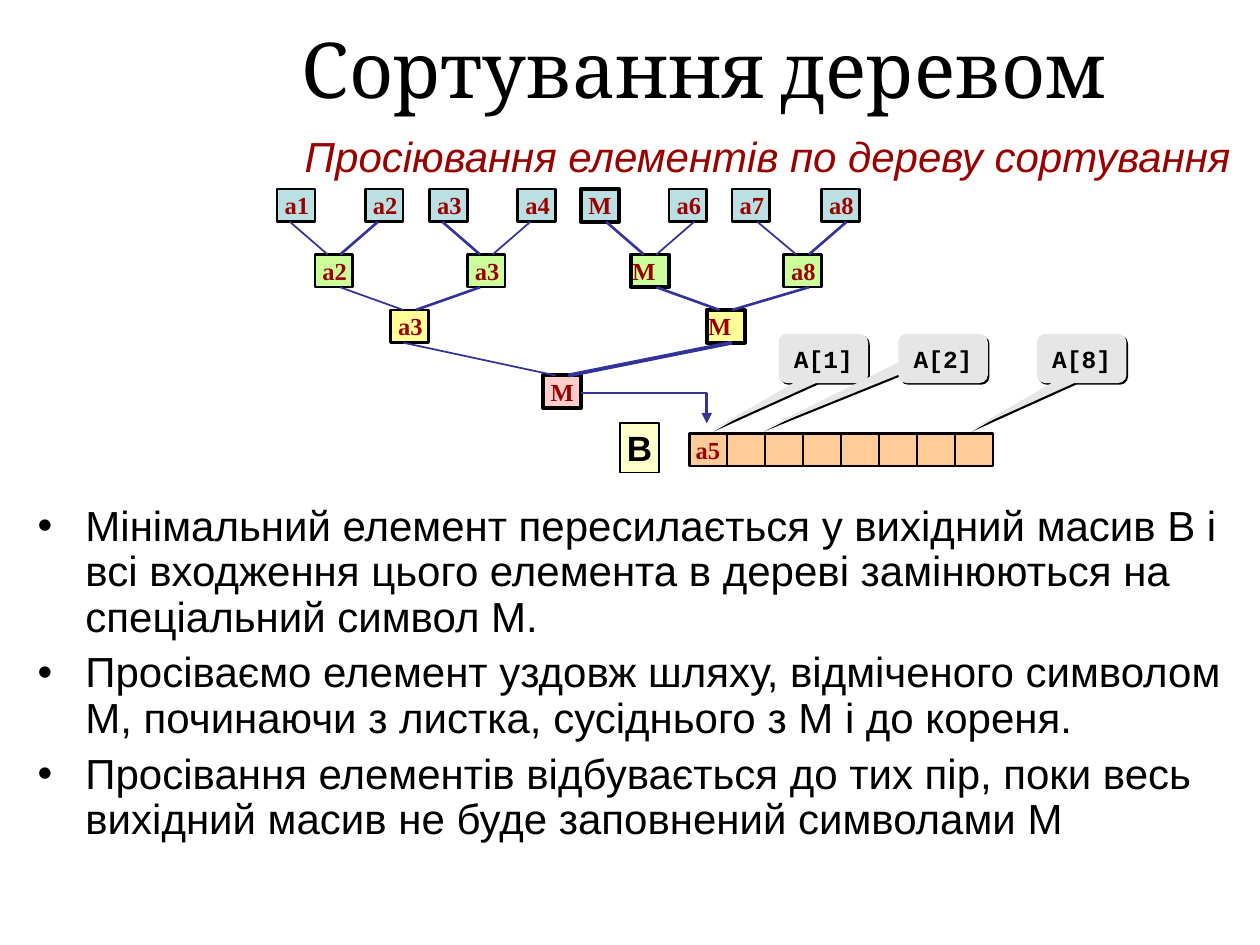
from lxml.etree import SubElement
from pptx import Presentation
from pptx.dml.color import RGBColor
from pptx.enum.shapes import MSO_CONNECTOR, MSO_SHAPE
from pptx.enum.text import MSO_ANCHOR, PP_ALIGN
from pptx.oxml.ns import qn
from pptx.util import Inches, Pt

BLACK, RED, BLUE = "000000", "990000", "333399"
NODE_WIDTH, NODE_HEIGHT = 0.3, 0.26

# Each node: label, left, offset where its edge starts, edge width, outline width.
LEVELS = [
    ("BBE0E3", 0, [
        ("a1", 0, 0.1, 1, 1.5), ("a2", 0.7, 0.1, 1.5, 1.5),
        ("a3", 1.21, 0.1, 1.5, 1.5), ("a4", 1.91, 0.1, 1, 1.5),
        ("M", 2.41, 0.2, 1.5, 2.25), ("a6", 3.11, 0.2, 1, 1.5),
        ("a7", 3.61, 0.2, 1, 1.5), ("a8", 4.32, 0.2, 1.5, 1.5)]),
    ("CCFF99", 0.52, [
        ("a2", 0.3, 0.2, 1, 1.5), ("a3", 1.51, 0.1, 1.5, 1.5),
        ("M", 2.81, 0.2, 1.5, 2.25), ("a8", 4.02, 0.2, 1.5, 1.5)]),
    ("FFFF99", 0.96, [
        ("a3", 0.9, 0.1, 1, 1.5), ("M", 3.41, 0.2, 2.25, 2.25)]),
    ("FFCCCC", 1.48, [("M", 2.11, 0, 0, 2.25)]),
]
CALLOUTS = [("A[1]", 0, -1.243), ("A[2]", 0.95, -2.022), ("A[8]", 2.05, -1.243)]
BULLETS = [
    "Мінімальний елемент пересилається у вихідний масив В і всі входження цього "
    "елемента в дереві замінюються на спеціальний символ М.",
    "Просіваємо елемент уздовж шляху, відміченого символом М, починаючи з листка, "
    "сусіднього з М і до кореня.",
    "Просівання елементів відбувається до тих пір, поки весь вихідний масив не буде "
    "заповнений символами М",
]


def color(value):
    """Turn a hex string into a colour."""
    return RGBColor.from_string(value)


def add_run(paragraph, text, font, size, ink, bold=False, italic=False):
    """Add one formatted run to a paragraph."""
    run = paragraph.add_run()
    run.text = text
    run.font.name, run.font.size = font, Pt(size)
    run.font.bold, run.font.italic = bold, italic
    run.font.color.rgb = color(ink)


def set_frame(shape, anchor, insets=(0.1, 0.05), left_inset=None, wrap=True):
    """Set wrapping, anchor and insets, and return the first paragraph."""
    frame = shape.text_frame
    frame.word_wrap = wrap
    frame.vertical_anchor = anchor
    frame.margin_left = Inches(insets[0] if left_inset is None else left_inset)
    frame.margin_right = Inches(insets[0])
    frame.margin_top = frame.margin_bottom = Inches(insets[1])
    return frame.paragraphs[0]


def add_box(shapes, kind, left, top, width, height, fill, line_width=None):
    """Add a filled preset shape with an optional black outline."""
    shape = shapes.add_shape(kind, Inches(left), Inches(top), Inches(width), Inches(height))
    shape.shadow.inherit = False
    shape.fill.solid()
    shape.fill.fore_color.rgb = color(fill)
    if line_width is None:
        shape.line.fill.background()
    else:
        shape.line.color.rgb = color(BLACK)
        shape.line.width = Pt(line_width)
    return shape


def add_line(shapes, start, end, ink, width):
    """Add a straight connector without a shadow."""
    line = shapes.add_connector(MSO_CONNECTOR.STRAIGHT, *map(Inches, start + end))
    line.line.color.rgb = color(ink)
    line.line.width = Pt(width)
    SubElement(line._element.spPr, qn("a:effectLst"))


def add_text_box(slide, left, top, width, height, anchor=MSO_ANCHOR.TOP):
    """Add a wrapping text box."""
    box = slide.shapes.add_textbox(Inches(left), Inches(top), Inches(width), Inches(height))
    set_frame(box, anchor)
    return box


def add_title(slide, left, top, width, height):
    """Place the centred slide title."""
    box = add_text_box(slide, left, top, width, height, MSO_ANCHOR.MIDDLE)
    paragraph = box.text_frame.paragraphs[0]
    paragraph.alignment = PP_ALIGN.CENTER
    add_run(paragraph, "Сортування деревом", "Cambria", 44, BLACK)


def add_subtitle(slide, left, top, width, height):
    """Place the red italic subtitle."""
    paragraph = add_text_box(slide, left, top, width, height).text_frame.paragraphs[0]
    paragraph.space_before = Pt(6)
    add_run(paragraph, "Просіювання елементів по дереву сортування", "Arial", 24, RED, italic=True)


def add_bullets(slide, left, top, width, height):
    """Place the bulleted explanation."""
    frame = add_text_box(slide, left, top, width, height).text_frame
    for index, text in enumerate(BULLETS):
        paragraph = frame.add_paragraph() if index else frame.paragraphs[0]
        paragraph.line_spacing = 0.9
        paragraph.space_before = Pt(6)
        properties = paragraph._p.get_or_add_pPr()
        properties.set("marL", str(Inches(0.38)))
        properties.set("indent", str(-Inches(0.38)))
        SubElement(properties, qn("a:buFont"), typeface="Arial")
        SubElement(properties, qn("a:buChar"), char="•")
        add_run(paragraph, text, "Arial", 24, BLACK)


def add_tree(slide, left, top):
    """Place the tournament tree, its edges and the arrow leaving the root."""
    for depth, (fill, level_top, nodes) in enumerate(LEVELS):
        for label, x, _, _, outline in nodes:
            node = add_box(slide.shapes, MSO_SHAPE.RECTANGLE, left + x, top + level_top,
                           NODE_WIDTH, NODE_HEIGHT, fill, outline)
            inner_winner = label == "M" and depth in (1, 2)
            paragraph = set_frame(node, MSO_ANCHOR.TOP, (0.01, 0.01),
                                  0.01 if inner_winner else 0.06)
            paragraph.alignment = PP_ALIGN.JUSTIFY
            add_run(paragraph, label, "Times New Roman", 14, RED, bold=True)
    for (_, child_top, children), (_, parent_top, parents) in zip(LEVELS, LEVELS[1:]):
        for index, (_, x, offset, width, _) in enumerate(children):
            parent_x = parents[index // 2][1] + 0.1 * (1 + index % 2)
            add_line(slide.shapes, (left + x + offset, top + child_top + NODE_HEIGHT),
                     (left + parent_x, top + parent_top), BLUE, width)
    add_output_arrow(slide, left + 2.41, top + 1.62, 1, 0.24)


def add_output_arrow(slide, left, top, width, height):
    """Draw the bent arrow from the root to the output array."""
    builder = slide.shapes.build_freeform(Inches(left), Inches(top))
    corner = (Inches(left + width), Inches(top))
    builder.add_line_segments([corner, (corner[0], Inches(top + height))], close=False)
    arrow = builder.convert_to_shape()
    arrow.shadow.inherit = False
    arrow.fill.background()
    arrow.line.color.rgb = color(BLUE)
    arrow.line.width = Pt(1.5)
    SubElement(arrow.line._get_or_add_ln(), qn("a:tailEnd"), type="triangle", w="med", len="med")


def add_array(slide, left, top, width, height, cells=8):
    """Place the output array with its cell dividers."""
    shapes = slide.shapes.add_group_shape().shapes
    bar = add_box(shapes, MSO_SHAPE.RECTANGLE, left, top, width, height, "FFCC99", 1.5)
    paragraph = set_frame(bar, MSO_ANCHOR.TOP, (0.01, 0.01), 0.05)
    paragraph.alignment = PP_ALIGN.JUSTIFY
    add_run(paragraph, "a5", "Times New Roman", 14, RED, bold=True)
    for index in range(1, cells):
        x = left + index * width / cells
        add_line(shapes, (x, top), (x, top + height), BLACK, 1.5)


def add_callouts(slide, left, top, width, height):
    """Place the index callouts that point at the array cells."""
    for text, x, pointer in CALLOUTS:
        callout = add_box(slide.shapes, MSO_SHAPE.ROUNDED_RECTANGULAR_CALLOUT,
                          left + x, top, width, height, "E6E6E6")
        for index, value in enumerate((pointer, 1.452, 0.167)):
            callout.adjustments[index] = value
        effects = callout._element.spPr.find(qn("a:effectLst"))
        shadow = SubElement(effects, qn("a:outerShdw"), dist=str(Pt(1.4)), dir="2700000",
                            algn="ctr", rotWithShape="0")
        SubElement(shadow, qn("a:srgbClr"), val=BLACK)
        paragraph = set_frame(callout, MSO_ANCHOR.MIDDLE)
        paragraph.alignment = PP_ALIGN.CENTER
        add_run(paragraph, text, "Courier New", 14, BLACK, bold=True)


def add_array_name(slide, left, top, width, height):
    """Place the box that names the output array."""
    box = add_box(slide.shapes, MSO_SHAPE.RECTANGLE, left, top, width, height, "FFFFCC", 1)
    paragraph = set_frame(box, MSO_ANCHOR.MIDDLE, wrap=False)
    paragraph.alignment = PP_ALIGN.CENTER
    add_run(paragraph, "В", "Arial", 20, BLACK, bold=True)


def main():
    """Build the slide and save it."""
    presentation = Presentation()
    presentation.slide_width, presentation.slide_height = Inches(10), Inches(7.5)
    slide = presentation.slides.add_slide(presentation.slide_layouts[6])
    add_title(slide, 1.93, 0, 7.32, 1.07)
    add_bullets(slide, 0.2, 3.96, 9.65, 3.54)
    add_subtitle(slide, 2.32, 0.99, 7.68, 0.5)
    add_tree(slide, 2.2, 1.5)
    add_array(slide, 5.47, 3.44, 2.41, 0.26)
    add_callouts(slide, 6.18, 2.65, 0.71, 0.39)
    add_array_name(slide, 4.92, 3.36, 0.31, 0.39)
    presentation.save("out.pptx")


if __name__ == "__main__":
    main()
